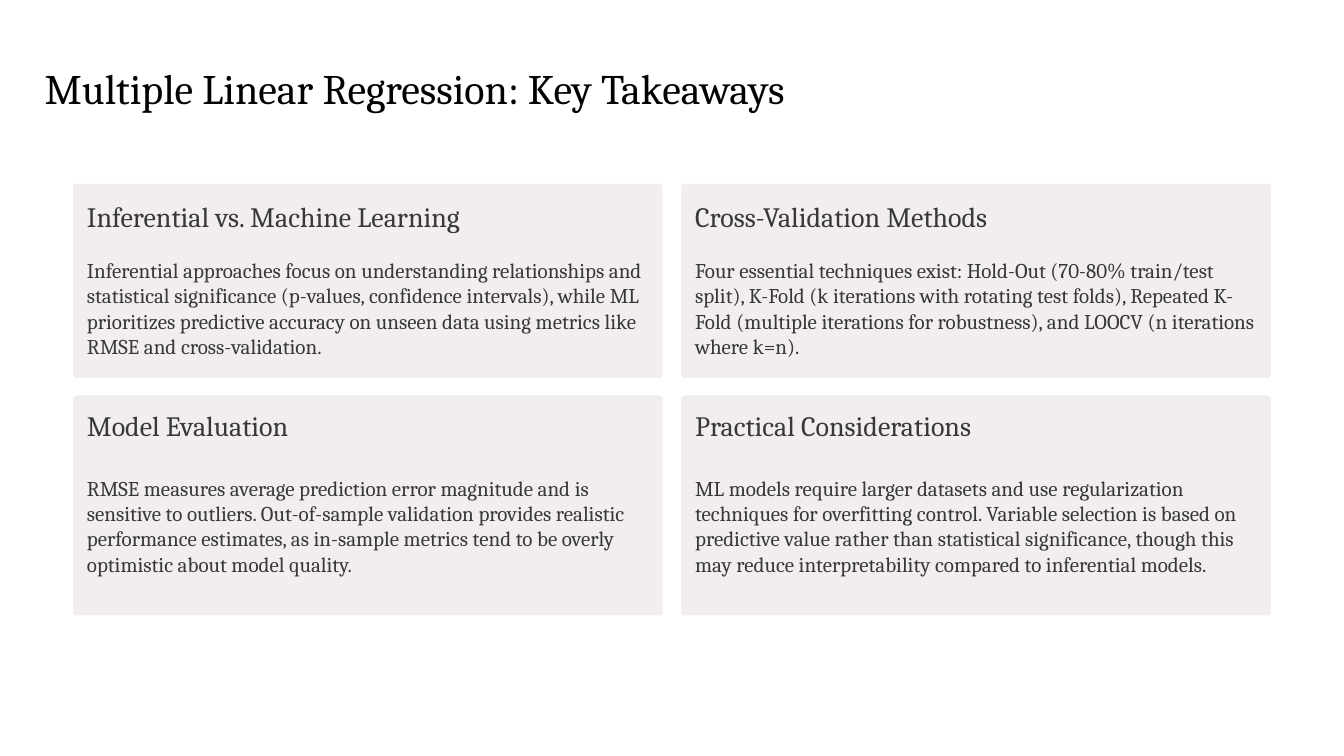
from pptx import Presentation
from pptx.dml.color import RGBColor
from pptx.enum.shapes import MSO_SHAPE
from pptx.enum.text import MSO_ANCHOR, PP_ALIGN
from pptx.util import Cm, Pt

COLORS = {"card": "F2EEEE", "title": "020202", "text": "383838"}

# Format values for each text role
FORMATS = {
    "title": {"size": Pt(36), "color": "title", "before": Pt(0)},
    "heading": {"size": Pt(24), "color": "text", "before": Pt(43)},
    "body": {"size": Pt(18), "color": "text", "before": Pt(21.5)},
    "lower body": {"size": Pt(18), "color": "text", "before": Pt(28.5)},
}

COLUMN_LEFT, COLUMN_PITCH, CARD_WIDTH = 2.21, 18.39, 17.83
CARD_ROWS = [(5.56, 5.87), (11.96, 6.65)]
TEXT_INSET, TEXT_TOP, TEXT_WIDTH = 0.42, 6.02, 17.07

COLUMNS = [
    (14.63, [
        ("heading", "Inferential vs. Machine Learning"),
        ("body", "Inferential approaches focus on understanding relationships and "
                 "statistical significance (p-values, confidence intervals), while ML "
                 "prioritizes predictive accuracy on unseen data using metrics like "
                 "RMSE and cross-validation."),
        ("heading", "Model Evaluation"),
        ("lower body", "RMSE measures average prediction error magnitude and is "
                       "sensitive to outliers. Out-of-sample validation provides "
                       "realistic performance estimates, as in-sample metrics tend to "
                       "be overly optimistic about model quality."),
    ]),
    (15.39, [
        ("heading", "Cross-Validation Methods"),
        ("body", "Four essential techniques exist: Hold-Out (70-80% train/test "
                 "split), K-Fold (k iterations with rotating test folds), Repeated "
                 "K-Fold (multiple iterations for robustness), and LOOCV (n iterations "
                 "where k=n)."),
        ("heading", "Practical Considerations"),
        ("lower body", "ML models require larger datasets and use regularization "
                       "techniques for overfitting control. Variable selection is based "
                       "on predictive value rather than statistical significance, though "
                       "this may reduce interpretability compared to inferential models."),
    ]),
]


class SlideBuilder:
    def __init__(self, slide, font_name):
        self.slide = slide
        self.font_name = font_name

    def card(self, left, top, width, height):
        shape = self.slide.shapes.add_shape(
            MSO_SHAPE.ROUNDED_RECTANGLE, Cm(left), Cm(top), Cm(width), Cm(height))
        shape.adjustments[0] = 0.014
        shape.shadow.inherit = False
        shape.fill.solid()
        shape.fill.fore_color.rgb = RGBColor.from_string(COLORS["card"])
        shape.line.fill.background()

    def text(self, left, top, width, height, paragraphs):
        box = self.slide.shapes.add_textbox(Cm(left), Cm(top), Cm(width), Cm(height))
        frame = box.text_frame
        frame_values = {"word_wrap": True, "vertical_anchor": MSO_ANCHOR.TOP,
                        "margin_left": 0, "margin_right": 0,
                        "margin_top": 0, "margin_bottom": 0}
        for name, value in frame_values.items():
            setattr(frame, name, value)
        for index, (role, words) in enumerate(paragraphs):
            paragraph = frame.add_paragraph() if index else frame.paragraphs[0]
            style = FORMATS[role]
            paragraph.alignment = PP_ALIGN.LEFT
            paragraph.space_before = style["before"] if index else Pt(0)
            run = paragraph.add_run()
            run.text = words
            font_values = {"name": self.font_name, "size": style["size"], "bold": False}
            for name, value in font_values.items():
                setattr(run.font, name, value)
            run.font.color.rgb = RGBColor.from_string(COLORS[style["color"]])


def main():
    presentation = Presentation()
    presentation.slide_width, presentation.slide_height = Cm(40.64), Cm(22.86)
    slide = presentation.slides.add_slide(presentation.slide_layouts[6])
    builder = SlideBuilder(slide, "Cambria")
    lefts = [COLUMN_LEFT + column * COLUMN_PITCH for column in range(len(COLUMNS))]

    # Card grid
    for top, height in CARD_ROWS:
        for left in lefts:
            builder.card(left, top, CARD_WIDTH, height)

    # Title
    builder.text(1.35, 1.88, 37.92, 3.07,
                 [("title", "Multiple Linear Regression: Key Takeaways")])

    # Takeaways, one text box per column
    for left, (height, paragraphs) in zip(lefts, COLUMNS):
        builder.text(left + TEXT_INSET, TEXT_TOP, TEXT_WIDTH, height, paragraphs)

    presentation.save("out.pptx")


if __name__ == "__main__":
    main()
